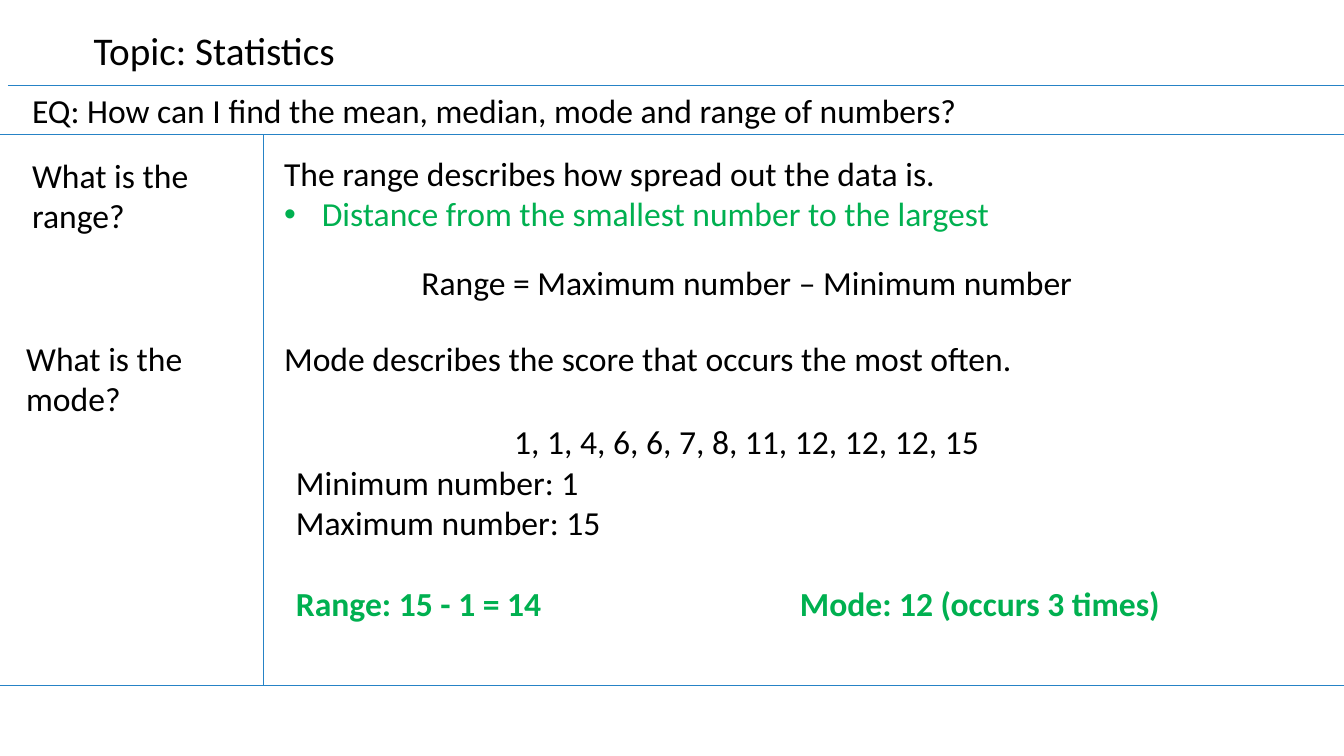
"""Builds a study-notes slide on the range and mode of a set of numbers."""
from lxml.etree import SubElement
from pptx import Presentation
from pptx.dml.color import RGBColor
from pptx.enum.shapes import MSO_CONNECTOR
from pptx.enum.text import MSO_AUTO_SIZE, PP_ALIGN
from pptx.oxml.ns import qn
from pptx.util import Cm, Pt

COLORS = {"rule": "2683C6", "text": "000000", "answer": "00B050"}
FONT = "Calibri"
WIDTH, HEIGHT = 33.87, 19.05
TOPIC_Y, NOTES_Y, END_Y = 2.16, 3.4, 17.27
CUE_X = 6.63
INDENT = 0.95
ANSWER_TAB = 12.7
NOTE_W, CUE_W = 23.22, 5.49

RULES = [
    (0.2, TOPIC_Y, WIDTH, TOPIC_Y),
    (0, NOTES_Y, WIDTH, NOTES_Y),
    (CUE_X, NOTES_Y, CUE_X, END_Y),
    (0, END_Y, WIDTH, END_Y),
]
TITLE = ((2.11, 0.53, 6.68, 1.45), [("Topic: Statistics", "plain")])
NOTES = [
    ((0.56, 2.13, 29.57, 1.27),
     [("EQ: How can I find the mean, median, mode and range of numbers?", "plain")]),
    ((0.56, 3.78, CUE_W, 2.31), [("What is the range?", "plain")]),
    ((6.91, 3.73, NOTE_W, 2.31),
     [("The range describes how spread out the data is.", "plain"),
      ("Distance from the smallest number to the largest", "bullet")]),
    ((7.21, 6.48, NOTE_W, 1.27),
     [("Range = Maximum number – Minimum number", "center")]),
    ((0.41, 8.38, CUE_W, 2.31), [("What is the mode?", "plain")]),
    ((6.91, 8.38, NOTE_W, 1.27),
     [("Mode describes the score that occurs the most often.", "plain")]),
    ((7.21, 10.49, NOTE_W, 6.4),
     [("1, 1, 4, 6, 6, 7, 8, 11, 12, 12, 12, 15", "center"),
      ("Minimum number: 1", "plain"),
      ("Maximum number: 15", "plain"),
      ("Range: 15 - 1 = 14\tMode: 12 (occurs 3 times)", "answer")]),
]


def add_rule(slide, ends):
    s = slide.shapes.add_connector(MSO_CONNECTOR.STRAIGHT, *map(Cm, ends))
    s.line.color.rgb = RGBColor.from_string(COLORS["rule"])
    s.line.width = Pt(0.75)
    SubElement(s._element.spPr, qn("a:effectLst"))


def style_paragraph(p, style):
    pPr = p._p.get_or_add_pPr()
    if style == "center":
        p.alignment = PP_ALIGN.CENTER
    elif style == "bullet":
        pPr.set("marL", str(Cm(INDENT)))
        pPr.set("indent", str(-Cm(INDENT)))
        SubElement(pPr, qn("a:buFont"), typeface="Arial")
        SubElement(pPr, qn("a:buChar"), char="•")
    elif style == "answer":
        tabs = SubElement(pPr, qn("a:tabLst"))
        SubElement(tabs, qn("a:tab"), pos=str(Cm(ANSWER_TAB)), algn="l")
        p.space_before = Pt(29)


def add_note(slide, box, lines, size=24, wrap=True):
    tf = slide.shapes.add_textbox(*map(Cm, box)).text_frame
    tf.word_wrap = wrap
    tf.auto_size = MSO_AUTO_SIZE.SHAPE_TO_FIT_TEXT
    for i, (text, style) in enumerate(lines):
        p = tf.add_paragraph() if i else tf.paragraphs[0]
        style_paragraph(p, style)
        r = p.add_run()
        r.text = text
        r.font.name = FONT
        r.font.size = Pt(size)
        r.font.bold = style == "answer"
        color = "answer" if style in ("bullet", "answer") else "text"
        r.font.color.rgb = RGBColor.from_string(COLORS[color])


def main():
    prs = Presentation()
    prs.slide_width, prs.slide_height = Cm(WIDTH), Cm(HEIGHT)
    slide = prs.slides.add_slide(prs.slide_layouts[6])
    for ends in RULES:
        add_rule(slide, ends)
    add_note(slide, *TITLE, size=28, wrap=False)
    for box, lines in NOTES:
        add_note(slide, box, lines)
    prs.save("out.pptx")


if __name__ == "__main__":
    main()
